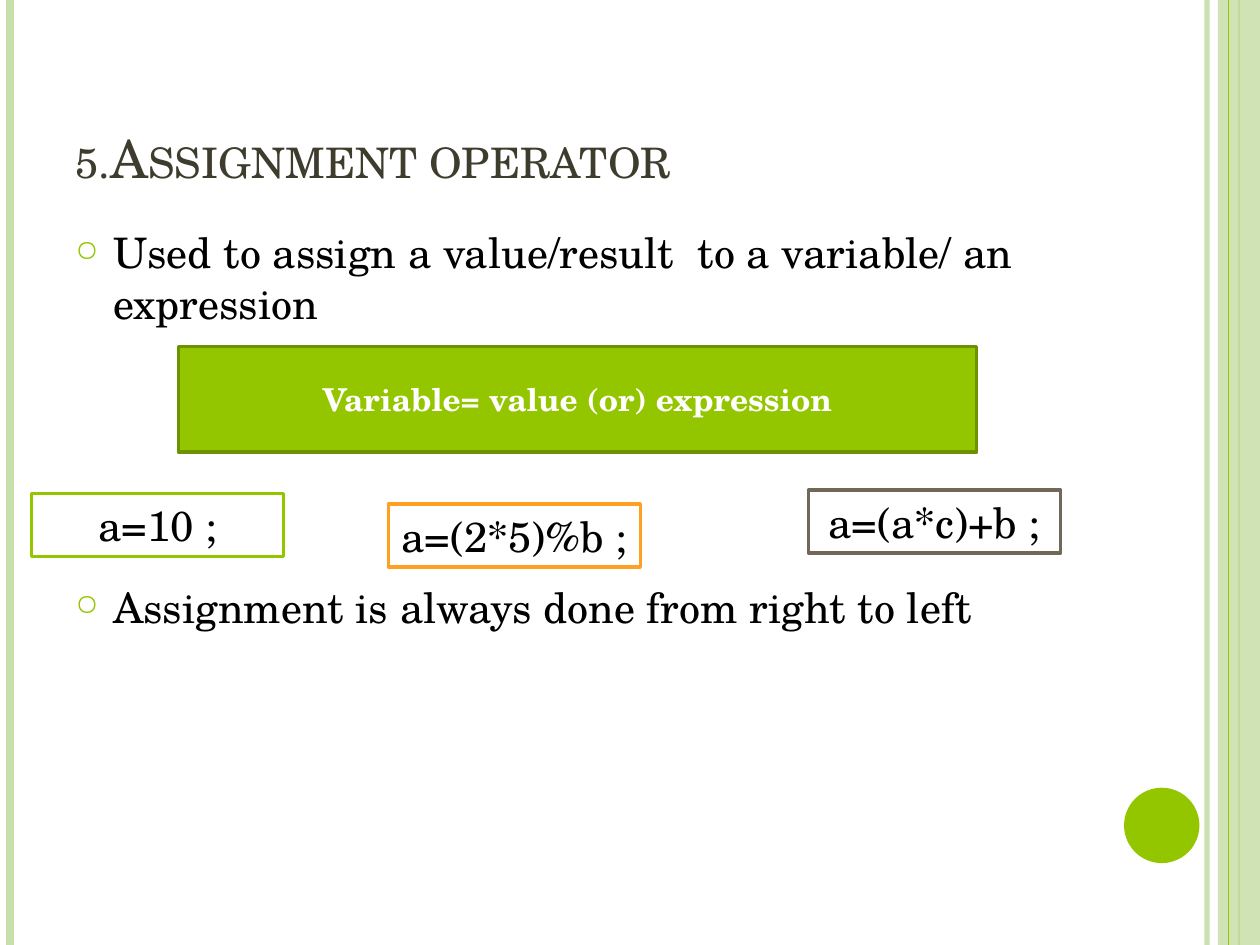
from pptx import Presentation
from pptx.dml.color import RGBColor
from pptx.enum.shapes import MSO_CONNECTOR as Connector, MSO_SHAPE as Shape
from pptx.enum.text import MSO_ANCHOR as Anchor, MSO_AUTO_SIZE as AutoSize, PP_ALIGN as Align
from pptx.oxml import parse_xml
from pptx.oxml.ns import nsdecls, qn
from pptx.util import Cm, Pt

GREEN = RGBColor(0x94, 0xC6, 0x00)
DARK_GREEN = RGBColor(0x6D, 0x92, 0x00)
PALE_GREEN = RGBColor(0xC8, 0xDF, 0xAB)
ORANGE = RGBColor(0xFE, 0xA0, 0x22)
BROWN = RGBColor(0x71, 0x68, 0x5A)
OLIVE = RGBColor(0x3E, 0x3D, 0x2D)
WHITE = RGBColor(0xFF, 0xFF, 0xFF)
BLACK = RGBColor(0, 0, 0)
WIDTH, HEIGHT = 25.4, 19.05


def assign(target, values):
    """Set every attribute named in values on target."""
    for name, value in values.items():
        setattr(target, name, value)


def element(tag, attributes="", content=""):
    """Make one DrawingML element."""
    return parse_xml(f"<a:{tag} {nsdecls('a')} {attributes}>{content}</a:{tag}>")


def set_opacity(parent, percent):
    """Make the solid colour found inside parent partly transparent."""
    color = next(parent.iter(qn("a:srgbClr")))
    color.append(element("alpha", f'val="{percent * 1000}"'))


class SlideBuilder:
    """Holds the style and the current slide."""

    font = "TeX Gyre Schola"

    def __init__(self, slide):
        """Keep the slide to draw on."""
        self.slide = slide

    def add_text(self, paragraph, text, size, color, bold=False):
        """Add one formatted run to a paragraph."""
        run = paragraph.add_run()
        run.text = text
        assign(run.font, {"name": self.font, "size": Pt(size), "bold": bold})
        run.font.color.rgb = color
        return run

    def title(self, text, left, top, width, height):
        """Place and fill the title in small capitals."""
        title = self.slide.shapes.title
        assign(title, {"left": Cm(left), "top": Cm(top),
                       "width": Cm(width), "height": Cm(height)})
        assign(title.text_frame, {"vertical_anchor": Anchor.BOTTOM, "word_wrap": True,
                                  "auto_size": AutoSize.NONE})
        paragraph = title.text_frame.paragraphs[0]
        paragraph.alignment = Align.LEFT
        run = self.add_text(paragraph, text, 30, OLIVE)
        run.font._element.set("cap", "small")

    def rule(self, x, color, weight, opacity=100):
        """Draw a vertical line over the full slide height."""
        line = self.slide.shapes.add_connector(
            Connector.STRAIGHT, Cm(x), Cm(0), Cm(x), Cm(HEIGHT))
        line.line.color.rgb = color
        line.line.width = Pt(weight)
        properties = line._element.spPr
        properties.append(element("effectLst"))
        if opacity < 100:
            set_opacity(properties, opacity)

    def shape(self, kind, left, top, width, height, fill, outline=None, opacity=100):
        """Draw a filled shape, with an outline if a colour is given."""
        shape = self.slide.shapes.add_shape(kind, Cm(left), Cm(top), Cm(width), Cm(height))
        shape.shadow.inherit = False
        shape.fill.solid()
        shape.fill.fore_color.rgb = fill
        if opacity < 100:
            set_opacity(shape._element.spPr, opacity)
        if outline is None:
            shape.line.fill.background()
        else:
            shape.line.color.rgb = outline
            shape.line.width = Pt(2)
        return shape

    def box(self, text, left, top, width, height, fill, outline, size, color, bold=False):
        """Draw an outlined rectangle with centred text."""
        shape = self.shape(Shape.RECTANGLE, left, top, width, height, fill, outline)
        assign(shape.text_frame, {"vertical_anchor": Anchor.MIDDLE, "word_wrap": True,
                                  "margin_left": Cm(0.1), "margin_right": Cm(0.1)})
        paragraph = shape.text_frame.paragraphs[0]
        paragraph.alignment = Align.CENTER
        self.add_text(paragraph, text, size, color, bold)

    def bullets(self, items, left, top, width, height):
        """Add bulleted paragraphs from (text, space before) pairs."""
        frame = self.slide.shapes.add_textbox(
            Cm(left), Cm(top), Cm(width), Cm(height)).text_frame
        frame.word_wrap = True
        for index, (text, space) in enumerate(items):
            paragraph = frame.add_paragraph() if index else frame.paragraphs[0]
            paragraph.space_before = Pt(space)
            self.add_text(paragraph, text, 24, BLACK)
            properties = paragraph._p.get_or_add_pPr()
            indent = Cm(0.76)
            properties.set("marL", str(indent))
            properties.set("indent", str(-indent))
            properties.append(element("buClr", content=f'<a:srgbClr val="{GREEN}"/>'))
            properties.append(element("buSzPct", 'val="70000"'))
            properties.append(element("buChar", 'char="○"'))


def main():
    """Build and save the slide."""
    presentation = Presentation()
    assign(presentation, {"slide_width": Cm(WIDTH), "slide_height": Cm(HEIGHT)})
    builder = SlideBuilder(presentation.slides.add_slide(presentation.slide_layouts[5]))

    builder.rule(24.33, PALE_GREEN, 3, opacity=93)
    builder.rule(0.21, PALE_GREEN, 4.5)
    builder.rule(24.98, GREEN, 1.5)
    builder.shape(Shape.RECTANGLE, 24.55, 0, 0.85, HEIGHT, PALE_GREEN, opacity=87)
    builder.rule(24.77, GREEN, 0.75)
    builder.shape(Shape.OVAL, 22.66, 15.88, 1.52, 1.52, GREEN)

    builder.title("5.Assignment operator", 1.27, 0.76, 20.75, 3.18)
    builder.bullets([
        ("Used to assign a value/result  to a variable/ an expression", 6),
        ("Assignment is always done from right to left", 145),
    ], 1.27, 4.45, 20.75, 13.55)

    builder.box("Variable= value (or) expression", 3.6, 6.99, 16.09, 2.12,
                GREEN, DARK_GREEN, 18, WHITE, bold=True)
    examples = [
        ("a=10 ;", 0.64, 9.95, GREEN),
        ("a=(2*5)%b ;", 7.83, 10.16, ORANGE),
        ("a=(a*c)+b ;", 16.3, 9.88, BROWN),
    ]
    for text, left, top, outline in examples:
        builder.box(text, left, top, 5.08, 1.27, WHITE, outline, 24, BLACK)

    presentation.save("out.pptx")


main()
